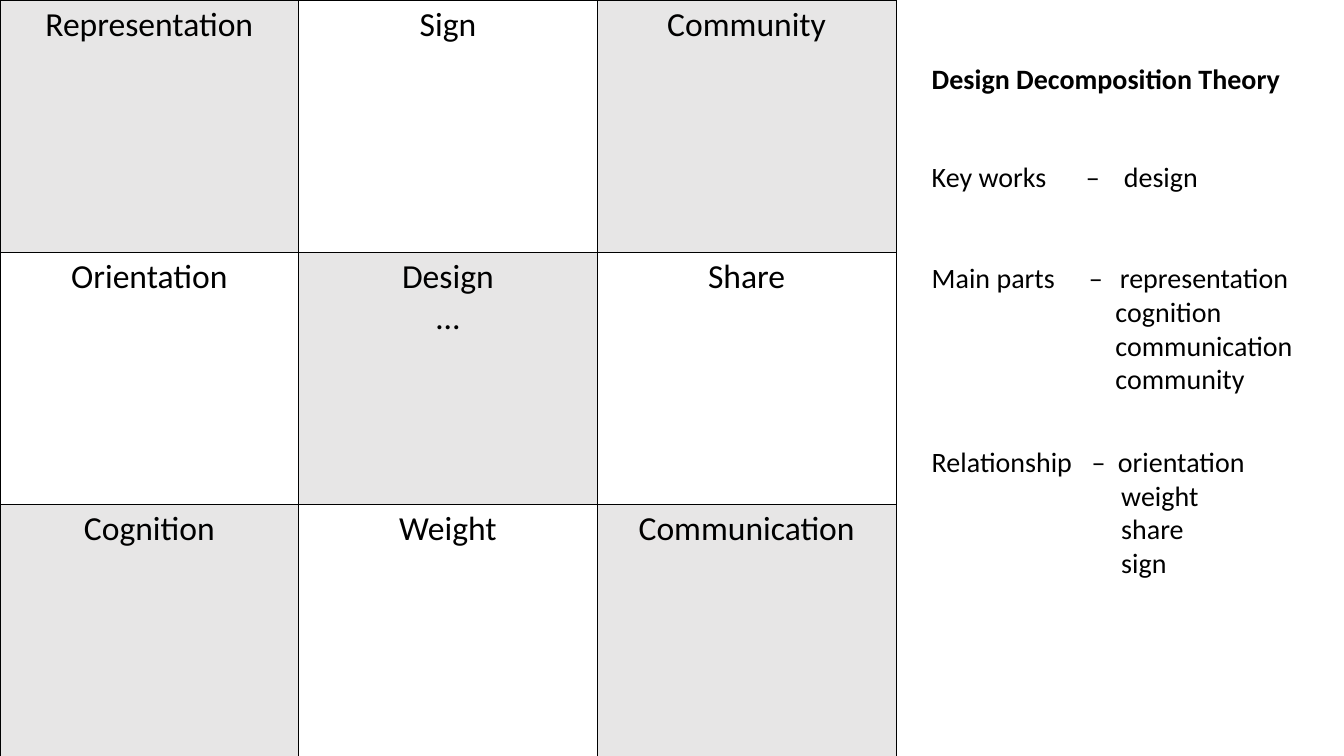
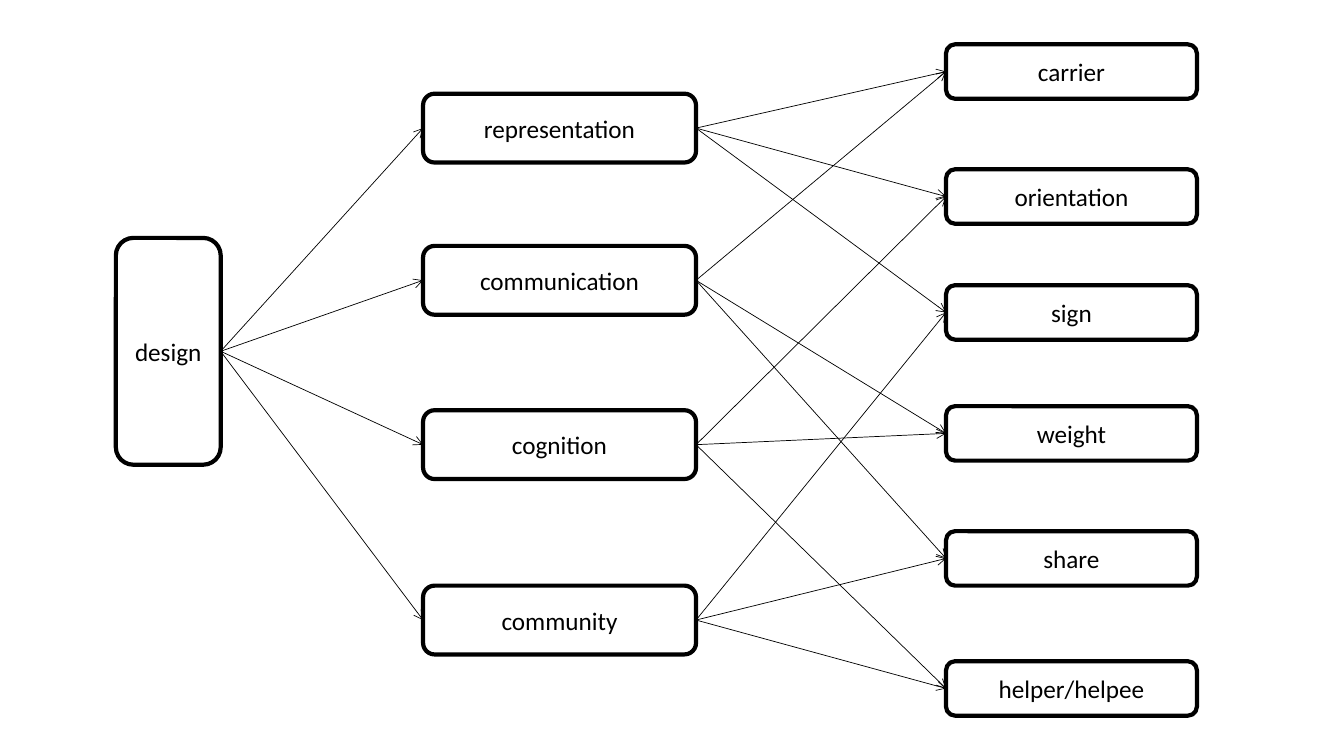
"""Build a theory table slide and a tree slide of design parts."""
import pptx
import pptx.util
import pptx.dml.color
import pptx.enum.shapes
import pptx.enum.text
import pptx.oxml
import pptx.oxml.ns

BLACK = pptx.dml.color.RGBColor(0, 0, 0)
WHITE = pptx.dml.color.RGBColor(255, 255, 255)
GREY = pptx.dml.color.RGBColor(0xE7, 0xE6, 0xE6)
FONT = "Calibri"
NS = pptx.oxml.ns.nsdecls("a")
CENTER = pptx.enum.text.PP_ALIGN.CENTER

deck = pptx.Presentation()
deck.slide_width = pptx.util.Inches(13.34)
deck.slide_height = pptx.util.Inches(7.5)
COL = deck.slide_width / 100
ROW = deck.slide_height / 100
blank = deck.slide_layouts[6]


def place(left, top, width, height):
    return int(left * COL), int(top * ROW), int(width * COL), int(height * ROW)


def style(frame, size, align=None, bold=False):
    for para in frame.paragraphs:
        para.alignment = align
        for run in para.runs:
            run.font.name = FONT
            run.font.size = pptx.util.Pt(size)
            run.font.bold = bold
            run.font.color.rgb = BLACK


theory = deck.slides.add_slide(blank)
words = [
    ["Representation", "Sign", "Community"],
    ["Orientation", "Design\n…", "Share"],
    ["Cognition", "Weight", "Communication"],
]
table = theory.shapes.add_table(3, 3, *place(0, 0, 200 / 3, 100)).table
table.first_row = False
table.horz_banding = False
for row, line in enumerate(words):
    for col, word in enumerate(line):
        cell = table.cell(row, col)
        cell.text_frame.text = word
        style(cell.text_frame, 24, CENTER)
        cell.fill.solid()
        cell.fill.fore_color.rgb = WHITE if (row + col) % 2 else GREY
        props = cell._tc.get_or_add_tcPr()
        for spot, side in enumerate("LRTB"):
            edge = pptx.oxml.parse_xml(
                f'<a:ln{side} {NS} w="{pptx.util.Pt(0.45)}"><a:solidFill>'
                f'<a:srgbClr val="{BLACK}"/></a:solidFill></a:ln{side}>')
            props.insert(spot, edge)

# top, height, lines, tab stops, indent of the lines below the first
notes = [
    (7.47, 5.87, ["Design Decomposition Theory"], [], 0),
    (20.4, 10.27, ["Key works\t–\tdesign"], [11.47, 14.3], 0),
    (33.87, 19.2, ["Main parts\t–\trepresentation", "cognition",
                   "communication", "community"], [11.7, 14], 13.67),
    (58.13, 19.2, ["Relationship\t–\torientation", "weight",
                   "share", "sign"], [11.9, 13.85], 14.1),
]
for top, height, lines, stops, indent in notes:
    box = theory.shapes.add_textbox(*place(68.59, top, 31.33, height))
    frame = box.text_frame
    frame.word_wrap = True
    frame.text = "\n".join(lines)
    style(frame, 20, bold=not stops)
    first, *rest = frame.paragraphs
    if stops:
        tabs = "".join(f'<a:tab pos="{int(stop * COL)}" algn="l"/>' for stop in stops)
        first._p.get_or_add_pPr().append(
            pptx.oxml.parse_xml(f"<a:tabLst {NS}>{tabs}</a:tabLst>"))
    for para in rest:
        para._p.get_or_add_pPr().set("marL", str(int(indent * COL)))

tree = deck.slides.add_slide(blank)
ranks = [
    (8.62, 7.8, 30, {"design": 31.47}),
    (31.48, 20.31, 9.1, {"representation": 12.4, "communication": 32.53,
                         "cognition": 54.27, "community": 77.47}),
    (70.39, 18.67, 7.2, {"carrier": 5.87, "orientation": 22.4, "sign": 37.73,
                         "weight": 53.73, "share": 70.27,
                         "helper/helpee": 87.47}),
]
nodes = {}
for left, width, height, tops in ranks:
    for name, top in tops.items():
        node = tree.shapes.add_shape(
            pptx.enum.shapes.MSO_SHAPE.ROUNDED_RECTANGLE,
            *place(left, top, width, height))
        node.shadow.inherit = False
        node.fill.solid()
        node.fill.fore_color.rgb = WHITE
        node.line.color.rgb = BLACK
        node.line.width = pptx.util.Pt(3)
        node.text_frame.text = name
        node.text_frame.vertical_anchor = pptx.enum.text.MSO_ANCHOR.MIDDLE
        style(node.text_frame, 18, CENTER)
        nodes[name] = node

links = {
    "representation": ["carrier", "orientation", "sign"],
    "communication": ["carrier", "weight", "share"],
    "cognition": ["orientation", "weight", "helper/helpee"],
    "community": ["sign", "share", "helper/helpee"],
    "design": ["representation", "communication", "cognition", "community"],
}
for start, ends in links.items():
    for end in ends:
        link = tree.shapes.add_connector(
            pptx.enum.shapes.MSO_CONNECTOR.STRAIGHT, 0, 0, 0, 0)
        link.begin_connect(nodes[start], 3)
        link.end_connect(nodes[end], 1)
        link.line.color.rgb = BLACK
        link.line.width = pptx.util.Pt(0.5)
        link.line._get_or_add_ln().append(
            pptx.oxml.parse_xml(f'<a:tailEnd {NS} type="arrow"/>'))
        link._element.spPr.append(pptx.oxml.parse_xml(f"<a:effectLst {NS}/>"))

deck.save("out.pptx")
